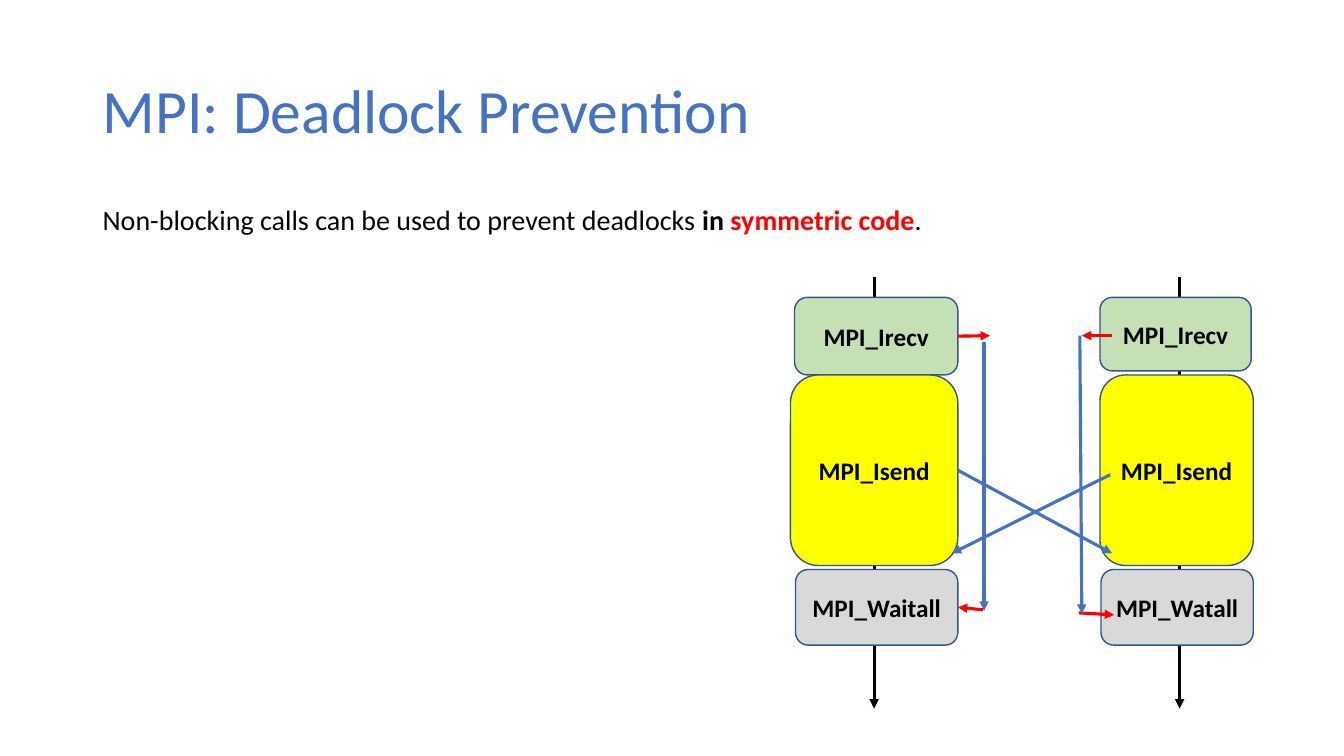
import pptx
import pptx.util
import pptx.dml.color
import pptx.enum.shapes
import pptx.enum.text
import pptx.oxml.ns
import lxml.etree

# Content, lengths in px (100 to the inch)
SIZE = (1333, 750)
TITLE = "MPI: Deadlock Prevention"
BODY = [  # text, bold, colour
    ("Non-blocking calls can be used to prevent deadlocks", False, "ink"),
    (" in ", True, "ink"),
    ("symmetric code", True, "red"),
    (".", False, "ink"),
]
TEXTS = [  # runs, box, size, anchor
    ([(TITLE, False, "blue")], (92, 40, 1150, 145), "title", "MIDDLE"),
    (BODY, (92, 200, 1150, 476), "body", "TOP"),
]
AXIS = (275, 703)
RANKS = {  # axis x, then label, box, fill of each call
    "right": (1170, [
        ("MPI_Irecv", (1091, 295, 150, 73), "green"),
        ("MPI_Watall", (1092, 565, 151, 75), "grey"),
        ("MPI_Isend", (1091, 372, 152, 189), "yellow"),
    ]),
    "left": (867, [
        ("MPI_Irecv", (788, 295, 162, 77), "green"),
        ("MPI_Waitall", (789, 565, 161, 75), "grey"),
        ("MPI_Isend", (784, 372, 166, 189), "yellow"),
    ]),
}
ARROWS = [  # from, to, colour; a name is the right side of that left-hand box
    ("MPI_Isend", (1103, 549), "blue"),
    ((1101, 471), (944, 549), "blue"),
    ("MPI_Irecv", (982, 333), "red"),
    ((976, 339), (976, 606), "blue"),
    ((1070, 608), (1105, 610), "red"),
    ((975, 605), "MPI_Waitall", "red"),
    ((1103, 333), (1073, 333), "red"),
    ((1071, 333), (1073, 609), "blue"),
]
THEME = {
    "font": "Calibri",
    "size": {"title": 44, "body": 20, "label": 18},
    "width": {"edge": 1, "arrow": 2.25},
    "color": {"ink": "000000", "blue": "4472C4", "red": "FF0000",
              "green": "C5E0B4", "grey": "D9D9D9", "yellow": "FFFF00",
              "edge": "325491"},
}
RIGHT = 3


def px(n):
    return pptx.util.Emu(n * 9144)


def color(name):
    return pptx.dml.color.RGBColor.from_string(THEME["color"][name])


def style(run, size, bold, tone):
    run.font.name = THEME["font"]
    run.font.size = pptx.util.Pt(THEME["size"][size])
    run.font.bold = bold
    run.font.color.rgb = color(tone)


def write(slide, runs, box, size, anchor):
    frame = slide.shapes.add_textbox(*map(px, box)).text_frame
    frame.word_wrap = True
    frame.vertical_anchor = pptx.enum.text.MSO_ANCHOR[anchor]
    para = frame.paragraphs[0]
    para.line_spacing = 0.9
    for text, bold, tone in runs:
        run = para.add_run()
        run.text = text
        style(run, size, bold, tone)


def call(slide, label, box, fill):
    kind = pptx.enum.shapes.MSO_SHAPE.ROUNDED_RECTANGLE
    shape = slide.shapes.add_shape(kind, *map(px, box))
    shape.shadow.inherit = False
    shape.fill.solid()
    shape.fill.fore_color.rgb = color(fill)
    shape.line.color.rgb = color("edge")
    shape.line.width = pptx.util.Pt(THEME["width"]["edge"])
    frame = shape.text_frame
    frame.text = label
    frame.word_wrap = True
    frame.vertical_anchor = pptx.enum.text.MSO_ANCHOR.MIDDLE
    para = frame.paragraphs[0]
    para.alignment = pptx.enum.text.PP_ALIGN.CENTER
    style(para.runs[0], "label", True, "ink")
    return shape


def arrow(slide, start, end, tone, boxes):
    spots = []
    for spot in (start, end):
        if spot in boxes:
            box = boxes[spot]
            spots += [box.left + box.width, box.top + box.height // 2]
        else:
            spots += map(px, spot)
    kind = pptx.enum.shapes.MSO_CONNECTOR.STRAIGHT
    line = slide.shapes.add_connector(kind, *spots)
    if start in boxes:
        line.begin_connect(boxes[start], RIGHT)
    if end in boxes:
        line.end_connect(boxes[end], RIGHT)
    line.line.color.rgb = color(tone)
    line.line.width = pptx.util.Pt(THEME["width"]["arrow"])
    # Arrowhead, and no shadow
    qn = pptx.oxml.ns.qn
    lxml.etree.SubElement(line.line._get_or_add_ln(), qn("a:tailEnd"), type="triangle")
    lxml.etree.SubElement(line._element.spPr, qn("a:effectLst"))


def main():
    deck = pptx.Presentation()
    deck.slide_width, deck.slide_height = map(px, SIZE)
    slide = deck.slides.add_slide(deck.slide_layouts[6])

    # Title and body
    for item in TEXTS:
        write(slide, *item)

    # One time axis with its calls for each rank
    boxes = {}
    for side, (x, calls) in RANKS.items():
        arrow(slide, (x, AXIS[0]), (x, AXIS[1]), "ink", {})
        for label, box, fill in calls:
            shape = call(slide, label, box, fill)
            if side == "left":
                boxes[label] = shape

    # Messages and waits between the ranks
    for start, end, tone in ARROWS:
        arrow(slide, start, end, tone, boxes)

    deck.save("out.pptx")


if __name__ == "__main__":
    main()
